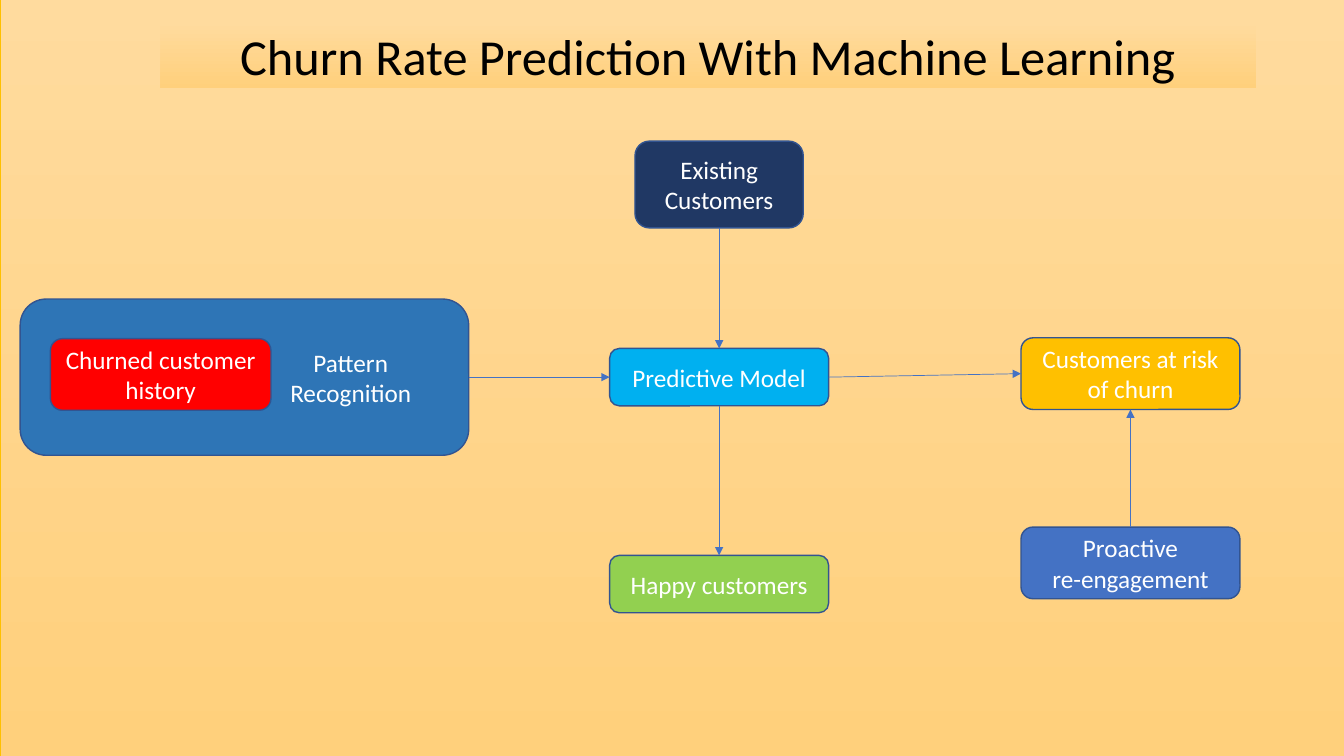
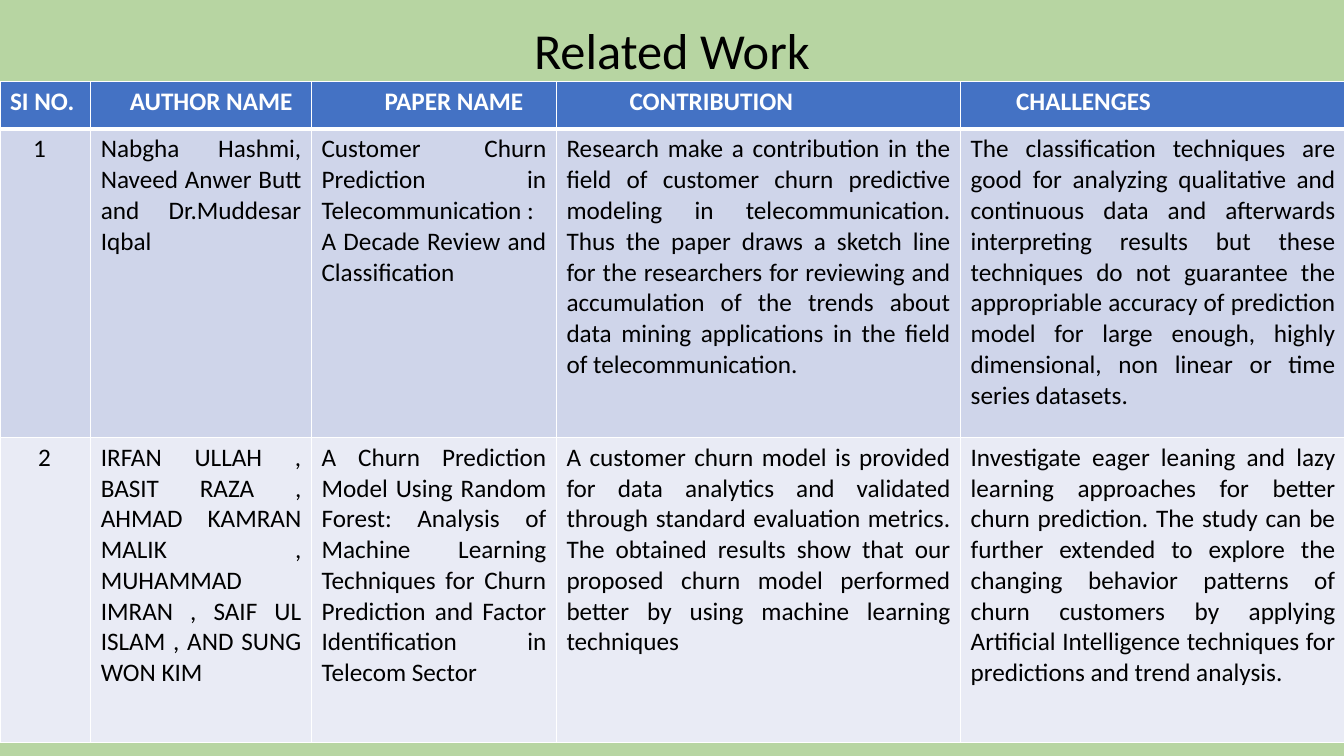
from lxml.etree import SubElement
from pptx import Presentation
from pptx.dml.color import RGBColor
from pptx.enum.shapes import MSO_CONNECTOR, MSO_SHAPE
from pptx.enum.text import MSO_ANCHOR, PP_ALIGN
from pptx.oxml import parse_xml
from pptx.oxml.ns import nsdecls, qn
from pptx.util import Pt

# Colours
BLACK = RGBColor(0x00, 0x00, 0x00)
WHITE = RGBColor(0xFF, 0xFF, 0xFF)
SAND_TOP = RGBColor(0xFF, 0xDB, 0x9E)
SAND_BOTTOM = RGBColor(0xFF, 0xD0, 0x7C)
GREEN = RGBColor(0x70, 0xAD, 0x47)
LIME = RGBColor(0x92, 0xD0, 0x50)
GOLD = RGBColor(0xFF, 0xC0, 0x00)
RED = RGBColor(0xFF, 0x00, 0x00)
NAVY = RGBColor(0x20, 0x38, 0x64)
STEEL = RGBColor(0x2E, 0x75, 0xB6)
SKY = RGBColor(0x00, 0xB0, 0xF0)
BLUE = RGBColor(0x44, 0x72, 0xC4)
OUTLINE = RGBColor(0x32, 0x54, 0x91)
BANDS = (RGBColor(0xCF, 0xD5, 0xEA), RGBColor(0xE9, 0xEB, 0xF5))

# Text styles
TITLE = {"name": "Calibri", "size": Pt(36), "bold": False}
BODY = {"name": "Calibri", "size": Pt(18), "bold": False}
HEADER = {**BODY, "bold": True}

# Slide 1 content: boxes as text, fill, centre x, centre y, width, height
CHURN_TITLE = "Churn Rate Prediction With Machine Learning"
MODEL_X, RISK_X = 513.7, 807.5
BOXES = {
    "pattern": ("Pattern\nRecognition", STEEL, 174.6, 269.4, 320.4, 111.6),
    "existing": ("Existing\nCustomers", NAVY, MODEL_X, 131.8, 120.2, 62),
    "model": ("Predictive Model", SKY, MODEL_X, 269.4, 156.4, 41),
    "risk": ("Customers at risk of churn", GOLD, RISK_X, 266.9, 156.4, 51.2),
    "happy": ("Happy customers", LIME, MODEL_X, 417.2, 156.4, 41),
    "engage": ("Proactive\nre-engagement", BLUE, RISK_X, 402.1, 156.4, 51.2),
    "history": ("Churned customer history", RED, 114.8, 267.5, 157.6, 51.2),
}
PATTERN_TEXT_LEFT = 159
TOP, LEFT, BOTTOM, RIGHT = range(4)
ARROWS = [
    ("pattern", RIGHT, "model", LEFT),
    ("existing", BOTTOM, "model", TOP),
    ("model", BOTTOM, "happy", TOP),
    ("model", RIGHT, "risk", LEFT),
    ("engage", TOP, "risk", BOTTOM),
]

# Slide 2 content
WORK_TITLE = "Related Work"
COLUMN_WIDTHS = (64.8, 157.7, 175, 288.7, 275)
ROW_HEIGHTS = (33.8, 220.3, 218.2)
PAPERS = [
    ("SI NO.", "AUTHOR NAME", "PAPER NAME", "CONTRIBUTION", "CHALLENGES"),
    ("1",
     "Nabgha Hashmi, Naveed Anwer Butt and Dr.Muddesar Iqbal",
     "Customer Churn Prediction in Telecommunication :\n"
     "A Decade Review and Classification",
     "Research make a contribution in the field of customer churn predictive "
     "modeling in telecommunication. Thus the paper draws a sketch line for "
     "the researchers for reviewing and accumulation of the trends about data "
     "mining applications in the field of telecommunication.",
     "The classification techniques are good for analyzing qualitative and "
     "continuous data and afterwards interpreting results but these techniques "
     "do not guarantee the appropriable accuracy of prediction model for large "
     "enough, highly dimensional, non linear or time series datasets."),
    ("2",
     "IRFAN ULLAH , BASIT RAZA , AHMAD KAMRAN MALIK , MUHAMMAD IMRAN , "
     "SAIF UL ISLAM , AND SUNG WON KIM",
     "A Churn Prediction Model Using Random Forest: Analysis of Machine "
     "Learning Techniques for Churn Prediction and Factor Identification in "
     "Telecom Sector",
     "A customer churn model is provided for data analytics and validated "
     "through standard evaluation metrics. The obtained results show that our "
     "proposed churn model performed better by using machine learning "
     "techniques",
     "Investigate eager leaning and lazy learning approaches for better churn "
     "prediction. The study can be further extended to explore the changing "
     "behavior patterns of churn customers by applying Artificial Intelligence "
     "techniques for predictions and trend analysis."),
]
CELL_MARGIN = 7.2
INDENTS = {(0, 1): 20.7, (0, 2): 45, (0, 3): 45, (0, 4): 32.5,
           (1, 0): 16.4, (2, 0): 20}


def write(frame, text, style, color, align):
    frame.text = text
    frame.word_wrap = True
    for paragraph in frame.paragraphs:
        paragraph.alignment = align
        for key, value in style.items():
            setattr(paragraph.font, key, value)
        paragraph.font.color.rgb = color


def fill_sand(shape):
    shape.fill.gradient()
    shape.fill.gradient_angle = 270
    for stop, color in zip(shape.fill.gradient_stops, (SAND_TOP, SAND_BOTTOM)):
        stop.color.rgb = color


def add_slide(text, title_at, backdrop_at):
    """Title-only slide with a full-size backdrop behind its title."""
    slide = deck.slides.add_slide(deck.slide_layouts[5])
    title = slide.shapes.title
    title.left, title.top, title.width, title.height = map(Pt, title_at)
    write(title.text_frame, text, TITLE, BLACK, PP_ALIGN.CENTER)
    title.text_frame.vertical_anchor = MSO_ANCHOR.MIDDLE
    backdrop = slide.shapes.add_shape(MSO_SHAPE.RECTANGLE, *map(Pt, backdrop_at))
    backdrop.shadow.inherit = False
    slide.shapes.element.insert(2, backdrop.element)
    return slide, title, backdrop


def add_box(slide, text, color, center_x, center_y, width, height):
    box = slide.shapes.add_shape(
        MSO_SHAPE.ROUNDED_RECTANGLE, Pt(center_x - width / 2),
        Pt(center_y - height / 2), Pt(width), Pt(height))
    box.shadow.inherit = False
    box.fill.solid()
    box.fill.fore_color.rgb = color
    box.line.color.rgb = OUTLINE
    box.line.width = Pt(1)
    write(box.text_frame, text, BODY, WHITE, PP_ALIGN.CENTER)
    box.text_frame.vertical_anchor = MSO_ANCHOR.MIDDLE
    return box


def add_arrow(slide, start, start_side, end, end_side):
    arrow = slide.shapes.add_connector(MSO_CONNECTOR.STRAIGHT, 0, 0, 0, 0)
    arrow.begin_connect(start, start_side)
    arrow.end_connect(end, end_side)
    arrow.line.color.rgb = BLUE
    arrow.line.width = Pt(0.5)
    SubElement(arrow.line._get_or_add_ln(), qn("a:tailEnd"), type="triangle")
    SubElement(arrow.element.spPr, qn("a:effectLst"))


def add_borders(cell, row):
    widths = {"lnL": 1, "lnR": 1, "lnT": 3 if row == 1 else 1,
              "lnB": 3 if row == 0 else 1}
    for place, (side, width) in enumerate(widths.items()):
        border = parse_xml(
            f'<a:{side} {nsdecls("a")} w="{Pt(width)}"><a:solidFill>'
            f'<a:srgbClr val="{WHITE}"/></a:solidFill></a:{side}>')
        cell._tc.get_or_add_tcPr().insert(place, border)


deck = Presentation()
deck.slide_width, deck.slide_height = Pt(960), Pt(540)

# Slide 1: churn prediction flow
flow, flow_title, sand = add_slide(
    CHURN_TITLE, (114.5, 15.8, 782.6, 46.8), (0, -2.9, 960, 542.9))
fill_sand(sand)
sand.line.color.rgb = GOLD
sand.line.width = Pt(0.5)
fill_sand(flow_title)
boxes = {name: add_box(flow, *box) for name, box in BOXES.items()}
boxes["pattern"].text_frame.margin_left = Pt(PATTERN_TEXT_LEFT)
for start, start_side, end, end_side in ARROWS:
    add_arrow(flow, boxes[start], start_side, boxes[end], end_side)

# Slide 2: table of related papers
work, _, meadow = add_slide(WORK_TITLE, (0, 11.5, 960, 46.8), (0, 0, 960, 540))
meadow.fill.solid()
meadow.fill.fore_color.rgb = GREEN
meadow.line.fill.background()
green = meadow.element.spPr.find(f'{qn("a:solidFill")}/{qn("a:srgbClr")}')
SubElement(green, qn("a:alpha"), val="50000")

papers = work.shapes.add_table(
    len(ROW_HEIGHTS), len(COLUMN_WIDTHS), Pt(0), Pt(58.3),
    Pt(sum(COLUMN_WIDTHS)), Pt(sum(ROW_HEIGHTS))).table
for column, width in zip(papers.columns, COLUMN_WIDTHS):
    column.width = Pt(width)
for r, (height, texts) in enumerate(zip(ROW_HEIGHTS, PAPERS)):
    papers.rows[r].height = Pt(height)
    style, color, fill = ((BODY, BLACK, BANDS[r - 1]) if r
                          else (HEADER, WHITE, BLUE))
    for c, text in enumerate(texts):
        cell = papers.cell(r, c)
        write(cell.text_frame, text, style, color, PP_ALIGN.JUSTIFY)
        cell.margin_left = Pt(CELL_MARGIN + INDENTS.get((r, c), 0))
        cell.fill.solid()
        cell.fill.fore_color.rgb = fill
        add_borders(cell, r)

deck.save("out.pptx")
